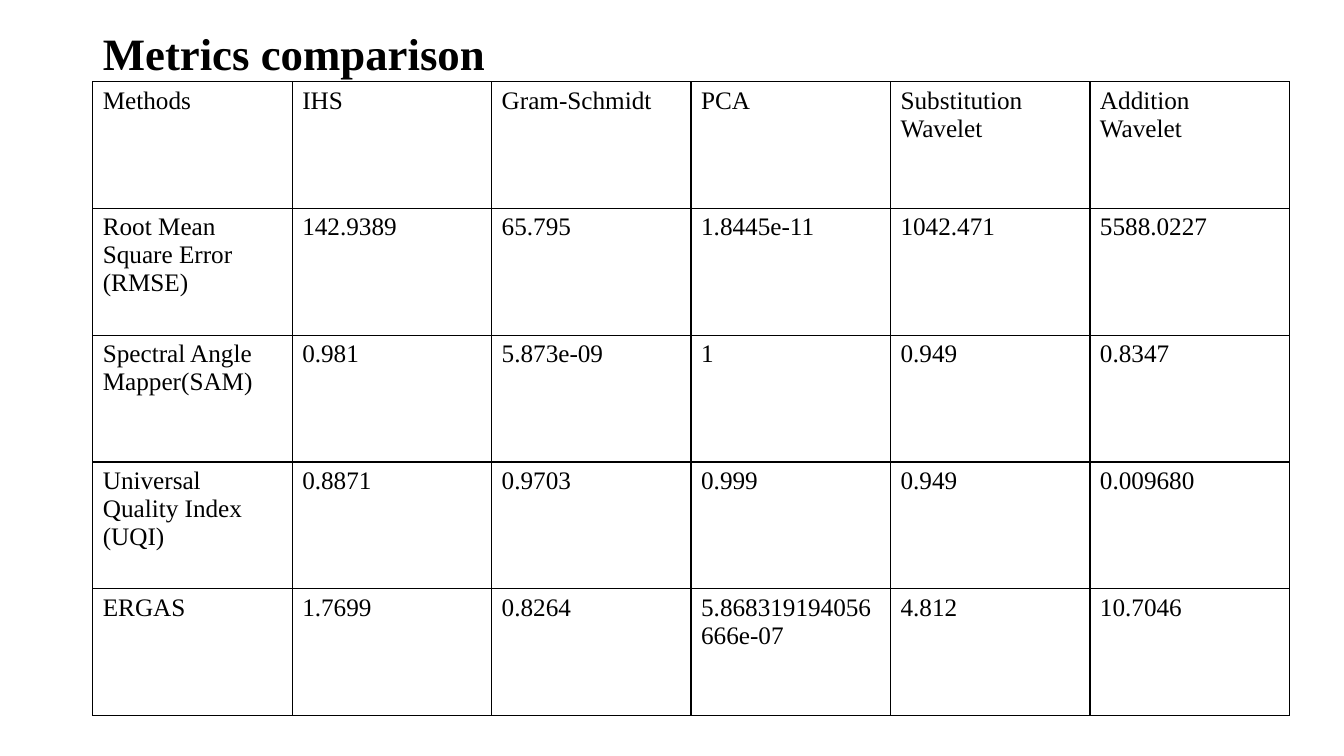
from lxml.etree import SubElement
from pptx import Presentation
from pptx.dml.color import RGBColor
from pptx.enum.text import MSO_ANCHOR, PP_ALIGN
from pptx.oxml.ns import qn
from pptx.util import Inches, Pt

COLORS = {"ink": "000000", "line": "000000"}
TITLE = {"name": "Times New Roman", "size": Pt(32), "bold": True}
BODY = {"name": "Times New Roman", "size": Pt(18), "bold": False}

# A line break inside a cell starts a new paragraph
ROWS = [
    ["Methods", "IHS", "Gram-Schmidt", "PCA", "Substitution\nWavelet", "Addition\nWavelet"],
    ["Root Mean Square Error (RMSE)", "142.9389", "65.795", "1.8445e-11", "1042.471", "5588.0227"],
    ["Spectral Angle\nMapper(SAM)", "0.981", "5.873e-09", "1", "0.949", "0.8347"],
    ["Universal Quality Index (UQI)", "0.8871", "0.9703", "0.999", "0.949", "0.009680"],
    ["ERGAS", "1.7699", "0.8264", "5.868319194056666e-07", "4.812", "10.7046"],
]


def style(frame, form):
    for para in frame.paragraphs:
        for run in para.runs:
            for key, value in form.items():
                setattr(run.font, key, value)
            run.font.color.rgb = RGBColor.from_string(COLORS["ink"])


def add_title(slide, text, left, top, width, height):
    title = slide.shapes.title
    title.left, title.top = Inches(left), Inches(top)
    title.width, title.height = Inches(width), Inches(height)
    frame = title.text_frame
    frame.text = text
    frame.vertical_anchor = MSO_ANCHOR.MIDDLE
    frame.paragraphs[0].alignment = PP_ALIGN.LEFT
    frame.paragraphs[0].line_spacing = 0.9
    style(frame, TITLE)


def add_edges(cell):
    props = cell._tc.get_or_add_tcPr()
    for index, side in enumerate(("lnL", "lnR", "lnT", "lnB")):
        edge = SubElement(props, qn(f"a:{side}"), w=str(Pt(1)))
        fill = SubElement(edge, qn("a:solidFill"))
        SubElement(fill, qn("a:srgbClr"), val=COLORS["line"])
        # Borders come before the fill
        props.insert(index, edge)


def add_grid(slide, rows, left, top, width, height):
    shape = slide.shapes.add_table(
        len(rows), len(rows[0]), Inches(left), Inches(top), Inches(width), Inches(height))
    table = shape.table
    table.first_row = table.horz_banding = False
    for r, row in enumerate(rows):
        for c, text in enumerate(row):
            cell = table.cell(r, c)
            cell.text_frame.text = text
            cell.fill.background()
            style(cell.text_frame, BODY)
            add_edges(cell)


def main():
    deck = Presentation()
    deck.slide_width, deck.slide_height = Inches(13.33), Inches(7.5)
    slide = deck.slides.add_slide(deck.slide_layouts[5])

    # Heading above the table
    add_title(slide, "Metrics comparison", 0.92, 0.26, 11.5, 0.6)

    # Metrics by method
    add_grid(slide, ROWS, 0.92, 0.81, 11.87, 6.29)

    deck.save("out.pptx")


if __name__ == "__main__":
    main()
